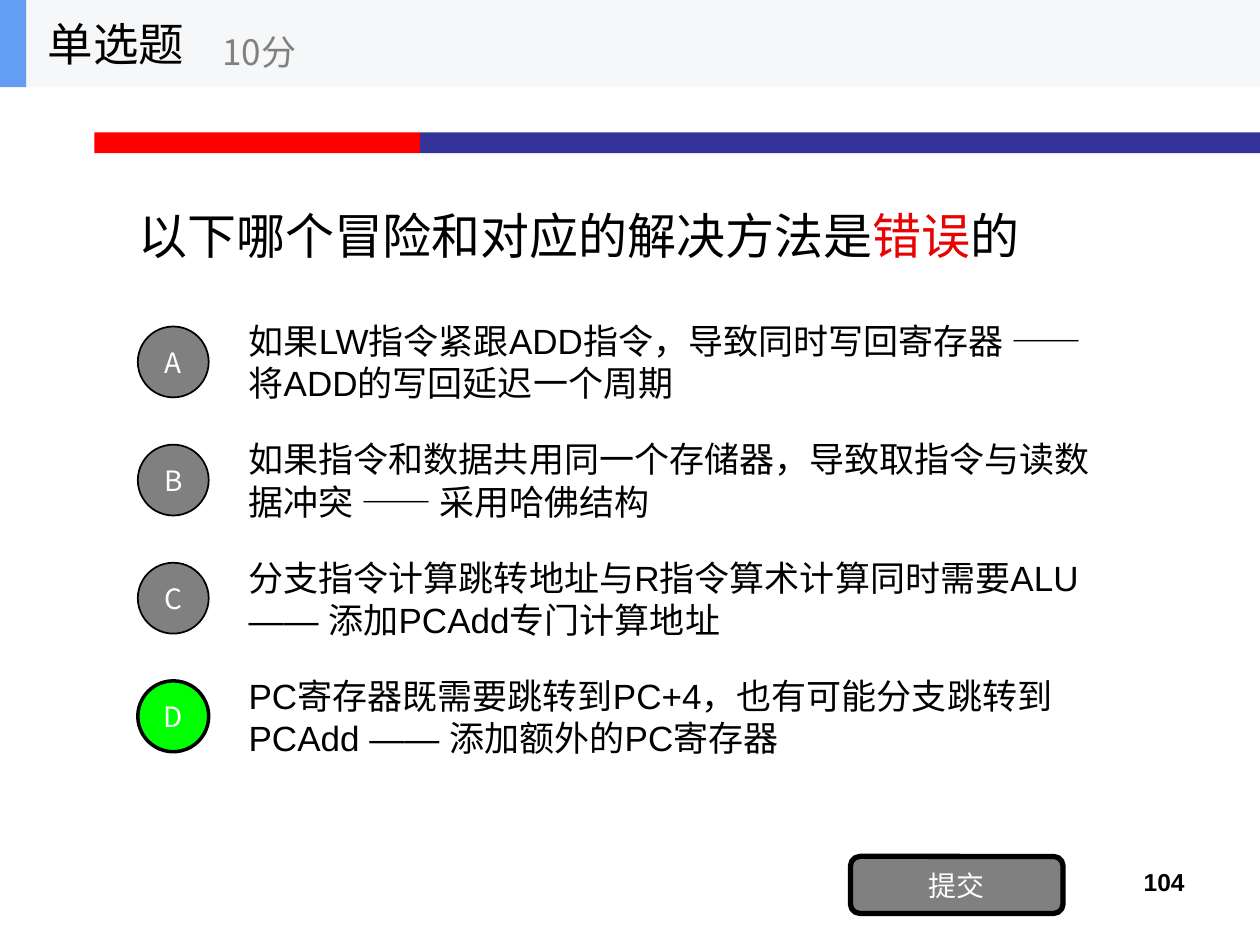
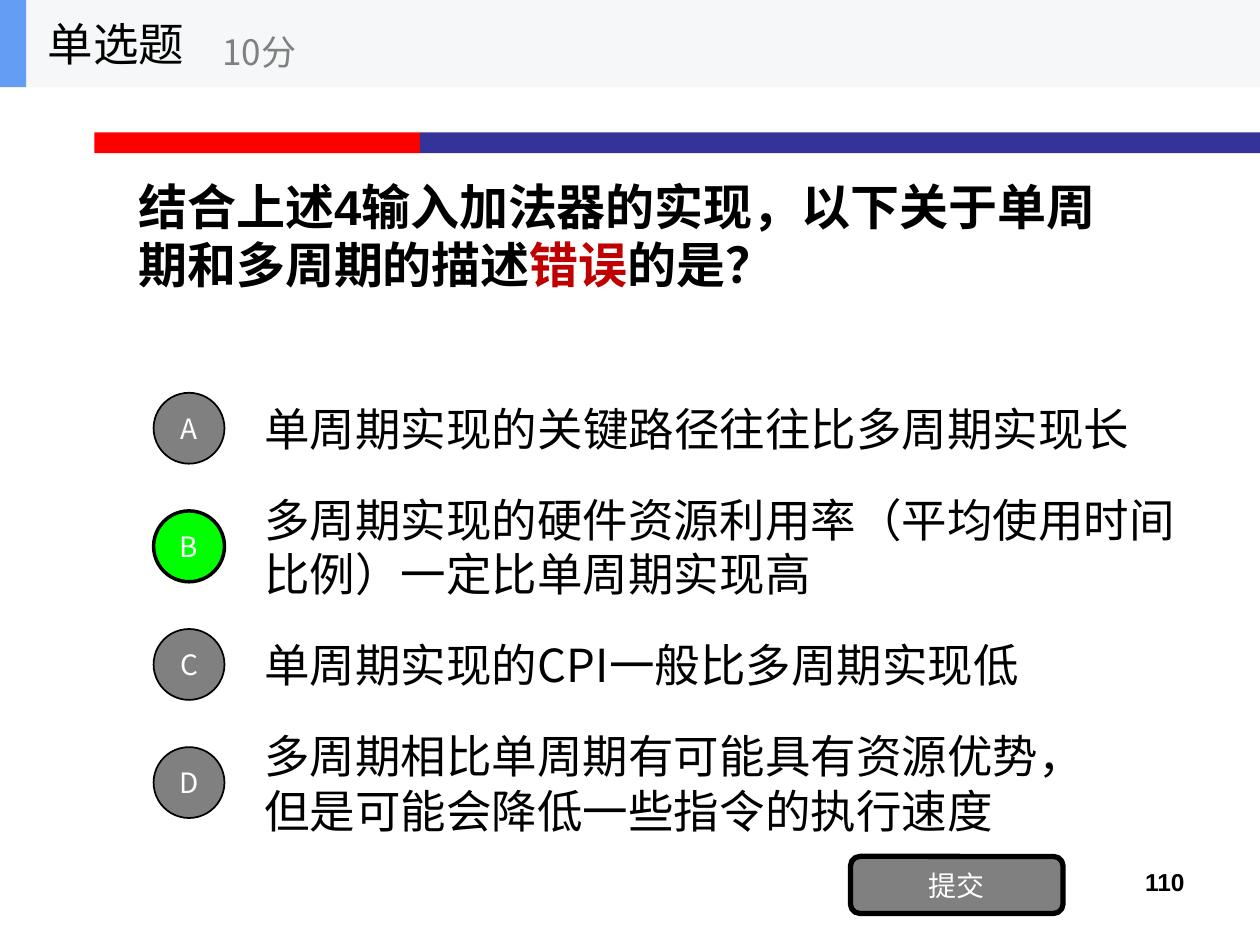
from dataclasses import dataclass
from typing import NamedTuple

from lxml.etree import SubElement
from pptx import Presentation
from pptx.dml.color import RGBColor as Rgb
from pptx.enum.shapes import MSO_SHAPE as Kind
from pptx.enum.text import MSO_ANCHOR as Anchor, PP_ALIGN as Align
from pptx.oxml.ns import qn
from pptx.util import Inches, Pt

WIDE, HIGH = Inches(10), Inches(7.5)
COLS, ROWS = 96, 72
HAN, LATIN = "Noto Sans CJK SC", "Arial"
HUES = {
    "black": "000000", "white": "FFFFFF", "gray": "808080", "green": "00FF00",
    "red": "FF0000", "navy": "333399", "pale": "F6F7F8", "sky": "639EF4",
    "alert": "E70303", "wine": "C00000",
}
PITCH, DISC, DEEP, SHIFT = 9, 5.4, 6.75, 7.5


class Box(NamedTuple):
    col: float
    row: float
    wide: float
    high: float


class Band(NamedTuple):
    box: Box
    hue: str


class Part(NamedTuple):
    text: str
    hue: str = "black"


class Choice(NamedTuple):
    text: str
    wide: float = 67.2


@dataclass
class Quiz:
    page: str
    ask: list[Part]
    bold: bool
    left: float
    top: float
    size: int
    font: str
    right: str
    picks: list[Choice]


BANDS = [
    Band(Box(7.2, 10.08, 24.8, 1.6), "red"),
    Band(Box(32, 10.08, 64, 1.6), "navy"),
    Band(Box(0, 0, COLS, 6.65), "pale"),
    Band(Box(0, 0, 2, 6.65), "sky"),
]

QUIZZES = [
    Quiz("104", [Part("以下哪个冒险和对应的解决方法是"), Part("错误", "alert"), Part("的")],
         False, 10.5, 24.2, 20, LATIN, "D", [
             Choice("如果LW指令紧跟ADD指令，导致同时写回寄存器 —— 将ADD的写回延迟一个周期"),
             Choice("如果指令和数据共用同一个存储器，导致取指令与读数据冲突 —— 采用哈佛结构"),
             Choice("分支指令计算跳转地址与R指令算术计算同时需要ALU —— 添加PCAdd专门计算地址"),
             Choice("PC寄存器既需要跳转到PC+4，也有可能分支跳转到 PCAdd —— 添加额外的PC寄存器"),
         ]),
    Quiz("110", [Part("结合上述4输入加法器的实现，以下关于单周期和多周期的描述"),
                 Part("错误", "wine"), Part("的是？")],
         True, 11.7, 29.25, 26, HAN, "B", [
             Choice("单周期实现的关键路径往往比多周期实现长", 71),
             Choice("多周期实现的硬件资源利用率（平均使用时间比例）一定比单周期实现高", 74.2),
             Choice("单周期实现的CPI一般比多周期实现低"),
             Choice("多周期相比单周期有可能具有资源优势，但是可能会降低一些指令的执行速度"),
         ]),
]


def place(box: Box) -> list[int]:
    cell, line = WIDE / COLS, HIGH / ROWS
    return [round(box.col * cell), round(box.row * line),
            round(box.wide * cell), round(box.high * line)]


def tint(name: str) -> Rgb:
    return Rgb.from_string(HUES[name])


def write(shape, parts: list[Part], size: int, font: str = HAN, bold: bool = False,
          align=Align.LEFT, anchor=Anchor.MIDDLE) -> None:
    frame = shape.text_frame
    frame.word_wrap = True
    frame.vertical_anchor = anchor
    para = frame.paragraphs[0]
    para.alignment = align
    for part in parts:
        run = para.add_run()
        run.text = part.text
        run.font.size = Pt(size)
        run.font.bold = bold
        run.font.name = font
        run.font.color.rgb = tint(part.hue)
        SubElement(run.font._element, qn("a:ea"), typeface=HAN)


def label(slide, box: Box, parts: list[Part], size: int, **style) -> None:
    write(slide.shapes.add_textbox(*place(box)), parts, size, **style)


def block(slide, kind, box: Box, hue: str, line: float = 0):
    shape = slide.shapes.add_shape(kind, *place(box))
    shape.shadow.inherit = False
    shape.fill.solid()
    shape.fill.fore_color.rgb = tint(hue)
    if line:
        shape.line.color.rgb = tint("black")
        shape.line.width = Pt(line)
    else:
        shape.line.fill.background()
    return shape


def badge(slide, kind, box: Box, text: str, hue: str, line: float) -> None:
    shape = block(slide, kind, box, hue, line)
    frame = shape.text_frame
    frame.margin_left = frame.margin_right = 0
    frame.margin_top = frame.margin_bottom = 0
    write(shape, [Part(text, "white")], 16, align=Align.CENTER)


def common(slide, page: str) -> None:
    for band in BANDS:
        block(slide, Kind.RECTANGLE, band.box, band.hue)
    label(slide, Box(2.7, 0, 20, 6.65), [Part("单选题")], 26)
    label(slide, Box(16, 1.2, 24, 5.4), [Part("10分", "gray")], 20)
    badge(slide, Kind.ROUNDED_RECTANGLE, Box(64.8, 65.25, 16.2, 4.35),
          "提交", "gray", 3)
    label(slide, Box(68.8, 65.6, 22.4, 5), [Part(page)], 14, font=LATIN,
          bold=True, align=Align.RIGHT, anchor=Anchor.TOP)


def draw(deck, quiz: Quiz) -> None:
    slide = deck.slides.add_slide(deck.slide_layouts[6])
    common(slide, quiz.page)
    label(slide, Box(9.6, 6.65, 76.8, 22.5), quiz.ask, 28, font=LATIN, bold=quiz.bold)
    for step, (mark, pick) in enumerate(zip("ABCD", quiz.picks)):
        row = quiz.top + step * PITCH
        label(slide, Box(quiz.left + SHIFT, row, pick.wide, DEEP),
              [Part(pick.text)], quiz.size, font=quiz.font)
        hit = mark == quiz.right
        badge(slide, Kind.OVAL, Box(quiz.left, row + (DEEP - DISC) / 2, DISC, DISC),
              mark, "green" if hit else "gray", 2 if hit else 1)


def main() -> None:
    deck = Presentation()
    deck.slide_width, deck.slide_height = WIDE, HIGH
    for quiz in QUIZZES:
        draw(deck, quiz)
    deck.save("out.pptx")


if __name__ == "__main__":
    main()
